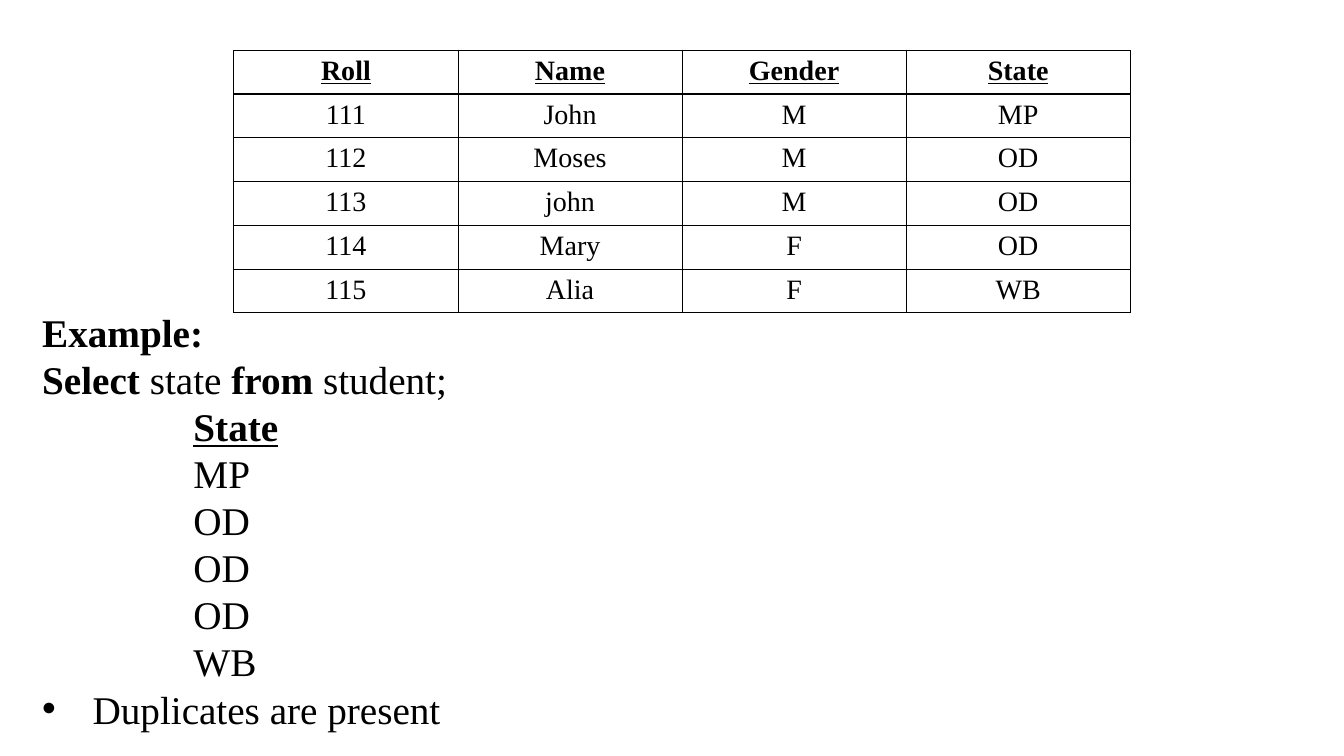
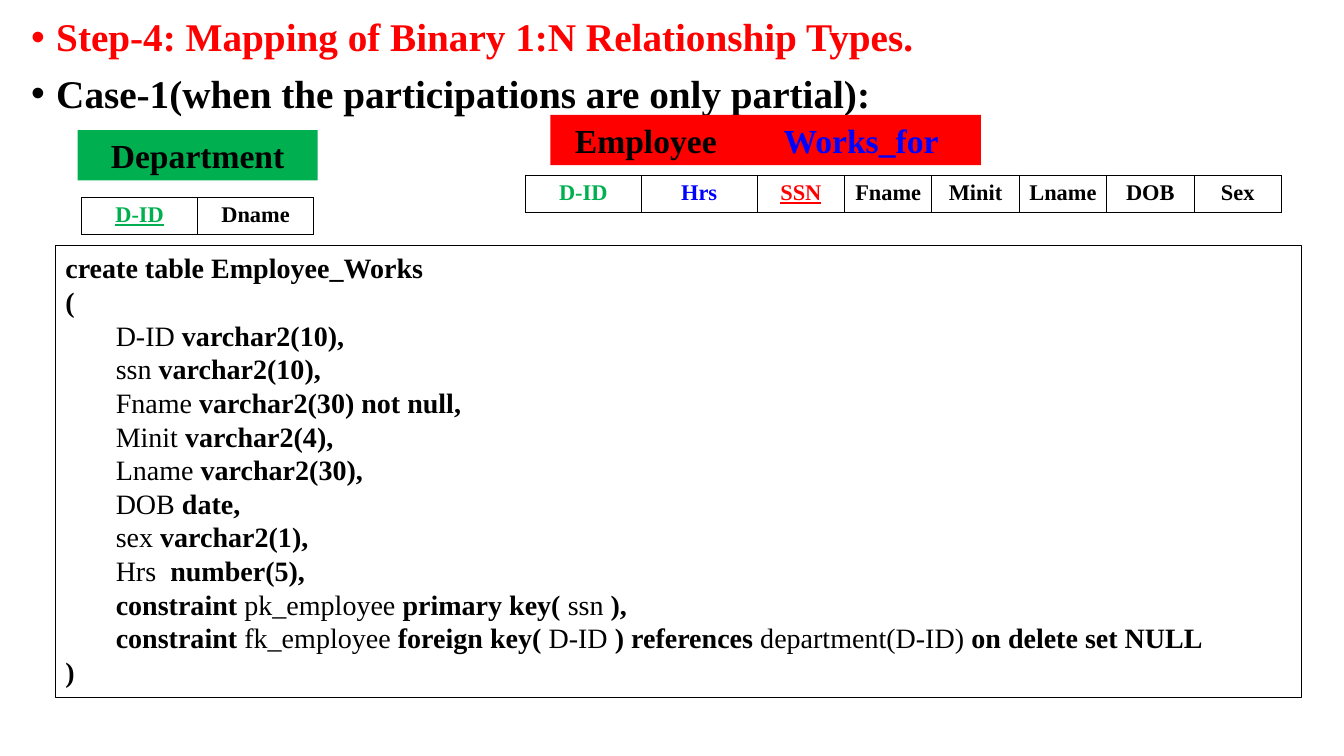
from dataclasses import dataclass

from lxml.etree import SubElement
from pptx import Presentation
from pptx.dml.color import RGBColor as RGB
from pptx.enum.shapes import MSO_SHAPE as SHAPE
from pptx.enum.text import MSO_ANCHOR as ANCHOR, PP_ALIGN as ALIGN
from pptx.oxml.ns import qn
from pptx.util import Inches, Pt


@dataclass(frozen=True)
class Theme:
    font: str = "Times New Roman"
    black: str = "000000"
    red: str = "FF0000"
    green: str = "00B050"
    blue: str = "0000FF"
    body: int = 28
    label: int = 24
    code: int = 20
    schema: int = 16
    line: float = 0.75
    header_line: float = 1.5


THEME = Theme()


@dataclass
class Para:
    """One paragraph; *stars* enclose its bold words."""
    text: str
    color: str = THEME.black
    underline: bool = False
    level: int = 0
    hang: float = 0
    before: float = 0
    spacing: float = 1


class Deck:
    def __init__(self):
        self.prs = Presentation()
        self.prs.slide_width, self.prs.slide_height = Inches(13.33), Inches(7.5)
        self.slide = None

    def new_slide(self):
        self.slide = self.prs.slides.add_slide(self.prs.slide_layouts[6])

    def add_paras(self, tf, paras, size, align=ALIGN.LEFT):
        for i, para in enumerate(paras):
            p = tf.paragraphs[0] if i == 0 else tf.add_paragraph()
            p.alignment, p.level = align, para.level
            p.line_spacing = para.spacing
            p.space_before = Pt(para.before)
            pPr = p._p.get_or_add_pPr()
            pPr.set("marL", str(Inches(para.hang or para.level * 0.5)))
            pPr.set("indent", str(-Inches(para.hang)))
            if para.hang:
                SubElement(pPr, qn("a:buFont"), typeface="Arial")
                SubElement(pPr, qn("a:buChar"), char="•")
            for j, part in enumerate(para.text.split("*")):
                if part:
                    r = p.add_run()
                    r.text = part
                    r.font.name, r.font.size = THEME.font, Pt(size)
                    r.font.bold, r.font.underline = j % 2 == 1, para.underline
                    r.font.color.rgb = RGB.from_string(para.color)

    def text(self, at, paras, size):
        tf = self.slide.shapes.add_textbox(*map(Inches, at)).text_frame
        tf.word_wrap = True
        self.add_paras(tf, paras, size)

    def box(self, at, paras, size, fill=None, line=None, align=ALIGN.CENTER):
        sp = self.slide.shapes.add_shape(SHAPE.RECTANGLE, *map(Inches, at))
        sp.shadow.inherit = False
        if fill:
            sp.fill.solid()
            sp.fill.fore_color.rgb = RGB.from_string(fill)
        else:
            sp.fill.background()
        if line:
            sp.line.color.rgb = RGB.from_string(line)
            sp.line.width = Pt(THEME.line)
        else:
            sp.line.fill.background()
        tf = sp.text_frame
        tf.word_wrap, tf.vertical_anchor = True, ANCHOR.TOP
        self.add_paras(tf, paras, size, align)

    def border(self, cell, side, width):
        ln = SubElement(cell._tc.get_or_add_tcPr(), qn(f"a:ln{side}"), w=str(Pt(width)))
        SubElement(SubElement(ln, qn("a:solidFill")), qn("a:srgbClr"), val=THEME.black)

    def table(self, at, rows, size):
        """Bordered table with equal columns and rows; a rule sets off the header."""
        n_rows, n_cols = len(rows), len(rows[0])
        tbl = self.slide.shapes.add_table(n_rows, n_cols, *map(Inches, at)).table
        tbl.first_row = tbl.horz_banding = False
        for i, row in enumerate(rows):
            for j, para in enumerate(row):
                cell = tbl.cell(i, j)
                cell.margin_left = cell.margin_right = Inches(0.05)
                for side in "LRTB":
                    under_header = n_rows > 1 and (i, side) in ((0, "B"), (1, "T"))
                    self.border(cell, side, THEME.header_line if under_header else THEME.line)
                cell.fill.background()
                self.add_paras(cell.text_frame, [para], size, ALIGN.CENTER)


def select_slide(deck):
    students = [
        ("111", "John", "M", "MP"),
        ("112", "Moses", "M", "OD"),
        ("113", "john", "M", "OD"),
        ("114", "Mary", "F", "OD"),
        ("115", "Alia", "F", "WB"),
    ]
    header = [Para(f"*{name}*", underline=True) for name in ("Roll", "Name", "Gender", "State")]
    deck.new_slide()
    deck.text((0.32, 3.01, 12.68, 4.34), [
        Para("*Example:*"),
        Para("*Select* state *from* student;"),
        Para("*State*", underline=True, level=3),
        *[Para(student[-1], level=3) for student in students],
        Para("Duplicates are present", hang=0.5),
    ], THEME.body)
    deck.table((2.32, 0.5, 8.89, 2.6),
               [header] + [[Para(value) for value in student] for student in students],
               THEME.code)


def mapping_slide(deck):
    columns = [
        "D-ID* varchar2(10),*",
        "ssn *varchar2(10),*",
        "Fname* varchar2(30) not null,*",
        "Minit* varchar2(4),*",
        "Lname* varchar2(30),*",
        "DOB* date,*",
        "sex* varchar2(1),*",
        "Hrs * number(5),*",
        "*constraint *pk_employee* primary key( *ssn* ),*",
        "*constraint *fk_employee* foreign key( *D-ID* ) references *"
        "department(D-ID)* on delete set NULL*",
    ]
    deck.new_slide()
    deck.box((0.55, 2.44, 12.36, 4.48), [
        Para("*create table Employee_Works*"),
        Para("*(*"),
        *[Para(column, level=1) for column in columns],
        Para("*)*"),
    ], THEME.code, line=THEME.black, align=ALIGN.LEFT)
    deck.text((0.21, 0.13, 12.7, 7.29), [
        Para("*Step-4: Mapping of Binary 1:N Relationship Types.*", THEME.red,
             hang=0.25, spacing=0.9),
        Para("*Case-1(when the participations are only partial):*",
             hang=0.25, spacing=0.9, before=10),
    ], THEME.body)

    for at, name, color, fill in (
        ((5.46, 1.14, 1.89, 0.5), "Employee", THEME.black, THEME.red),
        ((0.77, 1.29, 2.38, 0.5), "Department", THEME.black, THEME.green),
        ((7.35, 1.14, 2.38, 0.5), "Works_for", THEME.blue, THEME.red),
    ):
        deck.box(at, [Para(f"*{name}*", color)], THEME.label, fill=fill)

    employee = [Para("*SSN*", THEME.red, underline=True)]
    employee += [Para(f"*{name}*") for name in ("Fname", "Minit", "Lname", "DOB", "Sex")]
    department = [Para("*D-ID*", THEME.green, underline=True), Para("*Dname*")]
    works_for = [Para("*D-ID*", THEME.green), Para("*Hrs*", THEME.blue)]
    for left, top, width, fields in (
        (7.51, 1.74, 5.2, employee),
        (0.81, 1.96, 2.3, department),
        (5.21, 1.74, 2.3, works_for),
    ):
        deck.table((left, top, width, 0.37), [fields], THEME.schema)


def main():
    deck = Deck()
    select_slide(deck)
    mapping_slide(deck)
    deck.prs.save("out.pptx")


if __name__ == "__main__":
    main()
